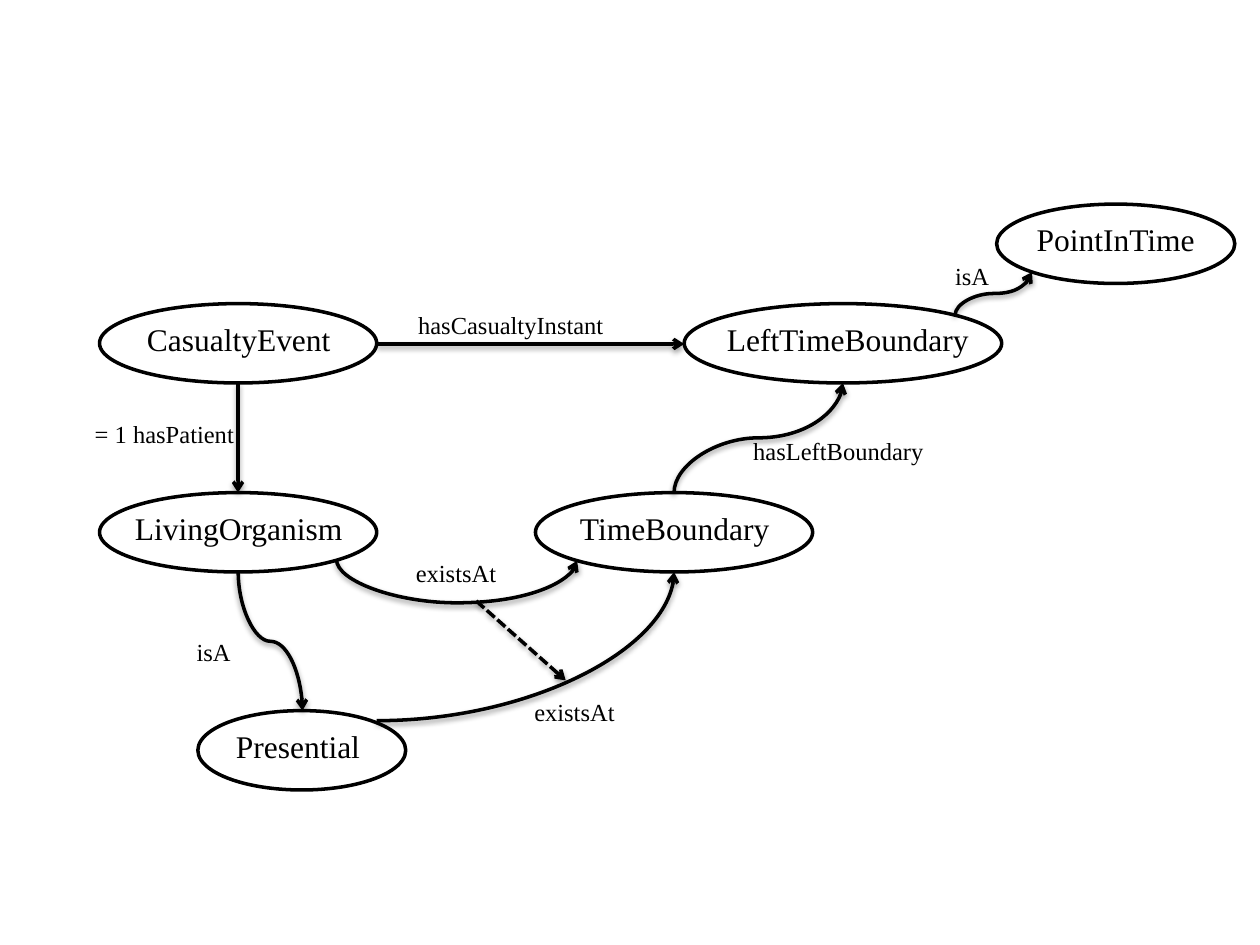
"""Build a slide with an ontology diagram of casualty events and time boundaries."""
from lxml import etree
from pptx import Presentation
from pptx.dml.color import RGBColor
from pptx.enum.dml import MSO_LINE
from pptx.enum.shapes import MSO_CONNECTOR, MSO_SHAPE
from pptx.enum.text import MSO_AUTO_SIZE, PP_ALIGN
from pptx.oxml import parse_xml
from pptx.oxml.ns import nsdecls, qn
from pptx.util import Inches, Pt

STRAIGHT, CURVE = MSO_CONNECTOR.STRAIGHT, MSO_CONNECTOR.CURVE
OVAL, DASH = MSO_SHAPE.OVAL, MSO_LINE.SQUARE_DOT
CENTER, GROW = PP_ALIGN.CENTER, MSO_AUTO_SIZE.SHAPE_TO_FIT_TEXT
BLACK = RGBColor.from_string("000000")
OVAL_HEIGHT = 0.63
SHADOW = (
    f'<a:effectLst {nsdecls("a")}>'
    '<a:outerShdw blurRad="40000" dist="20000" dir="5400000" rotWithShape="0">'
    '<a:srgbClr val="000000"><a:alpha val="38000"/></a:srgbClr>'
    '</a:outerShdw></a:effectLst>'
)

deck = Presentation()
deck.slide_width, deck.slide_height = Inches(10), Inches(7.5)
page = deck.slides.add_slide(deck.slide_layouts[6])


def add_label(text, left, top, width, height, size):
    """Add one centred line of text."""
    box = page.shapes.add_textbox(*map(Inches, (left, top, width, height)))
    box.text_frame.word_wrap = True
    box.text_frame.auto_size = GROW
    para = box.text_frame.paragraphs[0]
    para.text = text
    para.alignment = CENTER
    para.font.name = "Times New Roman"
    para.font.size = Pt(size)
    para.font.color.rgb = BLACK


def add_arrow(kind, start, end, dashed=False):
    """Add a shadowed black arrow and return it."""
    arrow = page.shapes.add_connector(kind, *map(Inches, (*start, *end)))
    arrow.line.color.rgb = BLACK
    arrow.line.width = Pt(2)
    if dashed:
        arrow.line.dash_style = DASH
    line = arrow.line._get_or_add_ln()
    etree.SubElement(line, qn("a:tailEnd")).set("type", "arrow")
    arrow._element.spPr.append(parse_xml(SHADOW))
    return arrow


concepts = [
    ("LivingOrganism", 0.79, 3.91, 2.2, 0.87, 2.05),
    ("CasualtyEvent", 0.79, 2.41, 2.2, 0.87, 2.05),
    ("TimeBoundary", 4.25, 3.91, 2.2, 4.33, 2.05),
    ("LeftTimeBoundary", 5.43, 2.41, 2.52, 5.51, 2.44),
    ("Presential", 1.57, 5.64, 1.65, 1.34, 2.05),
    ("PointInTime", 7.91, 1.62, 1.89, 8.07, 1.57),
]
for name, left, top, width, text_left, text_width in concepts:
    oval = page.shapes.add_shape(OVAL, *map(Inches, (left, top, width, OVAL_HEIGHT)))
    oval.shadow.inherit = False
    oval.fill.background()
    oval.line.color.rgb = BLACK
    oval.line.width = Pt(2)
    add_label(name, text_left, top + 0.08, text_width, 0.4, 18)

add_arrow(STRAIGHT, (2.99, 2.73), (5.43, 2.73))
add_arrow(STRAIGHT, (3.78, 4.77), (4.49, 5.4), dashed=True)
quarter_curve = add_arrow(CURVE, (2.99, 5.72), (5.35, 4.54))
quarter_curve._element.spPr.find(qn("a:prstGeom")).set("prst", "curvedConnector2")

vertical_curves = [
    ((1.89, 3.04), (1.89, 3.91), 0.5),
    ((5.35, 3.91), (6.69, 3.04), 0.5),
    ((1.89, 4.54), (2.4, 5.64), 0.5),
    ((2.67, 4.44), (4.58, 4.45), 35),
    ((7.58, 2.5), (8.19, 2.16), 0.5),
]
for (x1, y1), (x2, y2), bend in vertical_curves:
    upward = y2 < y1
    middle_x, middle_y = (x1 + x2) / 2, (y1 + y2) / 2
    half_width = abs(y2 - y1) / 2
    half_height = (x2 - x1) / 2 * (-1 if upward else 1)
    arrow = add_arrow(
        CURVE,
        (middle_x + half_width, middle_y - half_height),
        (middle_x - half_width, middle_y + half_height),
    )
    properties = arrow._element.spPr
    properties.find(qn("a:xfrm")).set("rot", str((90 if upward else 270) * 60000))
    guides = properties.find(qn("a:prstGeom")).get_or_add_avLst()
    guide = etree.SubElement(guides, qn("a:gd"))
    guide.set("name", "adj1")
    guide.set("fmla", f"val {round(bend * 100000)}")

relations = [
    ("hasLeftBoundary", 5.75, 3.41, 1.81),
    ("existsAt", 4.09, 5.48, 0.94),
    ("existsAt", 3.15, 4.38, 0.94),
    ("isA", 1.42, 5.01, 0.55),
    ("hasCasualtyInstant", 2.99, 2.41, 2.13),
    ("= 1 hasPatient", 0.24, 3.28, 2.13),
    ("isA", 7.44, 2.02, 0.55),
]
for name, left, top, width in relations:
    add_label(name, left, top, width, 0.34, 14)

deck.save("out.pptx")
